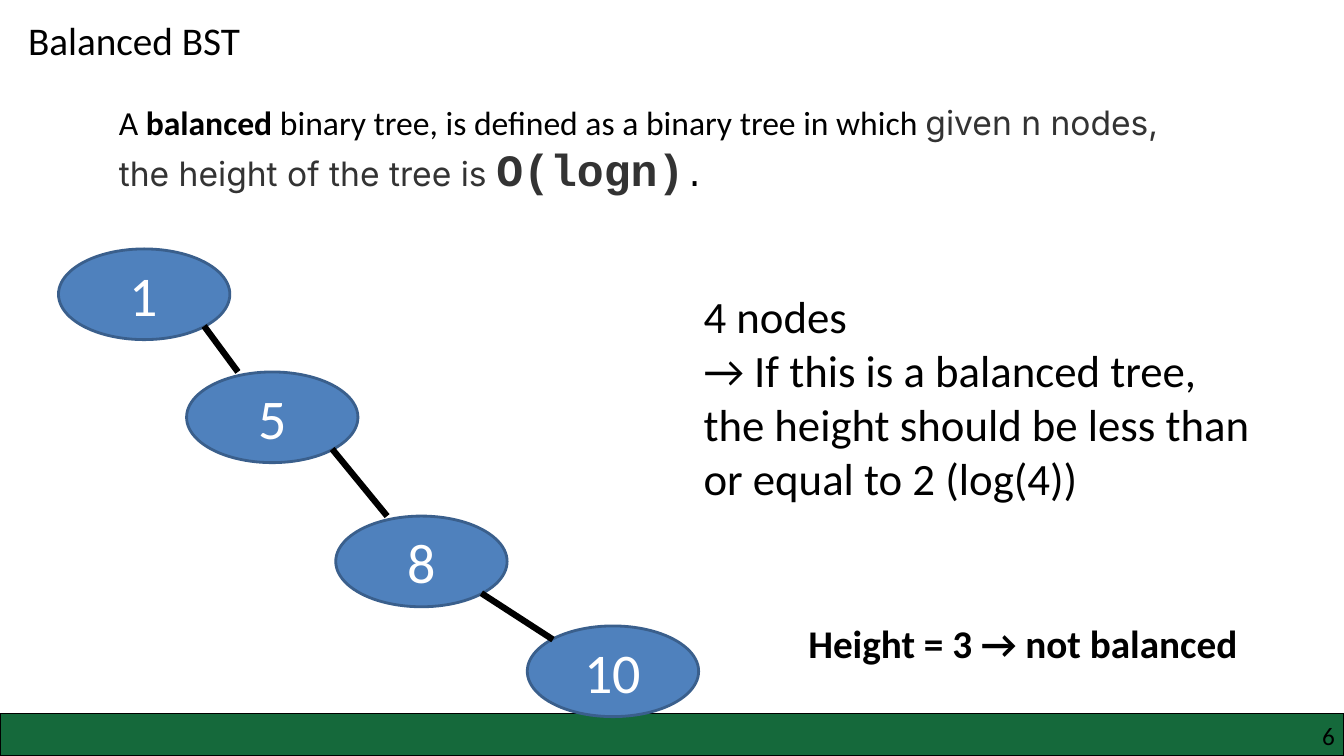
from itertools import pairwise

from lxml.etree import SubElement
from pptx import Presentation
from pptx.dml.color import RGBColor
from pptx.enum.shapes import MSO_CONNECTOR, MSO_SHAPE
from pptx.enum.text import MSO_ANCHOR, PP_ALIGN
from pptx.oxml.ns import qn
from pptx.util import Inches, Pt

THEME = {
    "font": "Calibri", "prose": "Inter", "code": "Courier New",
    "ink": RGBColor(0, 0, 0), "grey": RGBColor(0x33, 0x33, 0x33),
    "white": RGBColor(0xFF, 0xFF, 0xFF), "green": RGBColor(0x15, 0x69, 0x3B),
    "node": RGBColor(0x4F, 0x81, 0xBD), "outline": RGBColor(0x3A, 0x5F, 0x8C),
    "key": 40, "large": 32, "title": 28, "body": 24, "number": 18,
}

prs = Presentation()
prs.slide_width, prs.slide_height = Inches(13.33), Inches(7.5)
s = prs.slides.add_slide(prs.slide_layouts[6])
COL, ROW = prs.slide_width / 100, prs.slide_height / 100


def grid(x, y, *size):
    """Turn percentages of the slide's width and height into lengths."""
    return [round(v * unit) for v, unit in zip((x, y, *size), (COL, ROW) * 2)]


def add_run(p, text, size, color="ink", font="font", bold=False):
    r = p.add_run()
    r.text = text
    r.font.size, r.font.bold = Pt(THEME[size]), bold
    r.font.name, r.font.color.rgb = THEME[font], THEME[color]


# Footer
footer = s.shapes.add_shape(MSO_SHAPE.RECTANGLE, *grid(0, 94.4, 100, 5.6))
footer.shadow.inherit = False
footer.fill.solid()
footer.fill.fore_color.rgb = THEME["green"]
footer.line.color.rgb, footer.line.width = THEME["ink"], Pt(1)

tf = s.shapes.add_textbox(*grid(76.29, 95.33, 23.03, 4)).text_frame
tf.word_wrap = True
tf.margin_left = tf.margin_right = tf.margin_top = tf.margin_bottom = 0
tf.paragraphs[0].alignment = PP_ALIGN.RIGHT
add_run(tf.paragraphs[0], "6", "number")

# Text boxes: place, wrapping, paragraphs of runs
text_boxes = [
    ((1.35, 1.47, 17.48, 7.6), False, [[("Balanced BST", "title")]]),
    ((8.1, 12.8, 79.9, 13.87), True, [[
        ("A ", "body"),
        ("balanced", "body", "ink", "font", True),
        (" binary tree, is defined as a binary tree in which ", "body"),
        ("given n nodes, the height of the tree is ", "body", "grey", "prose"),
        ("O(logn)", "large", "grey", "code", True),
        (".", "body", "ink", "code"),
    ]]),
    ((51.61, 37.6, 43.36, 30.13), True, [
        [("4 nodes", "large")],
        [("→ If this is a balanced tree, the height should be less than "
          "or equal to 2 (log(4))", "large")],
    ]),
    ((59.41, 81.2, 34.06, 7.6), False,
     [[("Height = 3 → not balanced", "title", "ink", "font", True)]]),
]
for place, wrap, paragraphs in text_boxes:
    tf = s.shapes.add_textbox(*grid(*place)).text_frame
    tf.word_wrap = wrap
    for i, runs in enumerate(paragraphs):
        p = tf.add_paragraph() if i else tf.paragraphs[0]
        for run in runs:
            add_run(p, *run)

# Tree
NODE_W, NODE_H = 12.75, 12
nodes = [("1", 4.35, 32.93), ("5", 13.88, 49.2),
         ("8", 24.98, 68.27), ("10", 39.23, 82.8)]
for key, x, y in nodes:
    sp = s.shapes.add_shape(MSO_SHAPE.OVAL, *grid(x, y, NODE_W, NODE_H))
    sp.shadow.inherit = False
    sp.fill.solid()
    sp.fill.fore_color.rgb = THEME["node"]
    sp.line.color.rgb, sp.line.width = THEME["outline"], Pt(2)
    tf = sp.text_frame
    tf.vertical_anchor = MSO_ANCHOR.MIDDLE
    tf.paragraphs[0].alignment = PP_ALIGN.CENTER
    add_run(tf.paragraphs[0], key, "key", "white")

# Edges leave at the lower right; ends are shares of the child node's size
edge_ends = [(0.3, 0), (0.3, 0), (0.15, 0.15)]
for ((_, x1, y1), (_, x2, y2)), (dx, dy) in zip(pairwise(nodes), edge_ends):
    edge = s.shapes.add_connector(
        MSO_CONNECTOR.STRAIGHT,
        *grid(x1 + 0.85 * NODE_W, y1 + 0.85 * NODE_H),
        *grid(x2 + dx * NODE_W, y2 + dy * NODE_H))
    edge.line.color.rgb, edge.line.width = THEME["ink"], Pt(4.5)
    SubElement(edge._element.spPr, qn("a:effectLst"))

prs.save("out.pptx")
